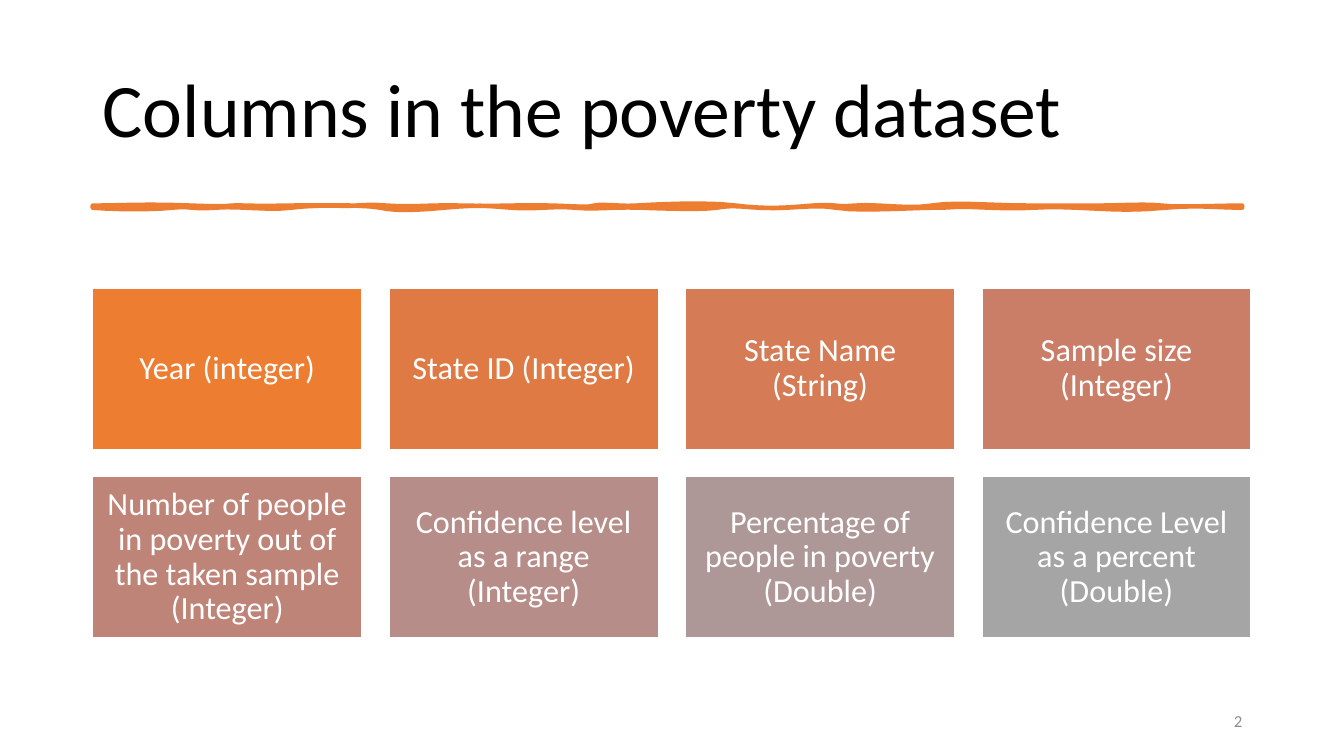
"""Build a slide that lists the columns of the poverty dataset."""
from lxml.etree import SubElement
from pptx import Presentation
from pptx.dml.color import RGBColor
from pptx.enum.shapes import MSO_SHAPE as SHAPE
from pptx.enum.text import MSO_ANCHOR as ANCHOR, PP_ALIGN as ALIGN
from pptx.oxml.ns import qn
from pptx.util import Inches, Pt

FONT = "Calibri"
ACCENT = "ED7D31"
WHITE = "FFFFFF"
LEFT, TOP = 0.92, 2.86
CARD_W, CARD_H, GAP = 2.67, 1.6, 0.27
COLUMNS = 4
STEPS = 6

CARDS = [
    ("Year (integer)", ACCENT),
    ("State ID (Integer)", "E07A44"),
    ("State Name (String)", "D57B56"),
    ("Sample size (Integer)", "CA7E67"),
    ("Number of people in poverty out of the taken sample (Integer)", "BF8478"),
    ("Confidence level as a range (Integer)", "B68D88"),
    ("Percentage of people in poverty (Double)", "AD9897"),
    ("Confidence Level as a percent (Double)", "A5A5A5"),
]

BRUSH_START = (0.92, 2.04)
BRUSH_CURVES = [
    (1.19, 2.04, 1.44, 2.02, 1.9, 2.04), (2.37, 2.06, 2.2, 2.03, 2.44, 2.04),
    (2.67, 2.05, 3.03, 2.03, 3.31, 2.04), (3.6, 2.05, 3.59, 2.02, 3.84, 2.04),
    (4.1, 2.06, 4.23, 2.03, 4.6, 2.04), (4.98, 2.05, 5.14, 2.03, 5.48, 2.04),
    (5.81, 2.05, 5.81, 2.06, 5.89, 2.04), (5.98, 2.02, 6.15, 2.05, 6.31, 2.04),
    (6.47, 2.03, 7.01, 2, 7.3, 2.04), (7.59, 2.08, 7.81, 2.06, 8.06, 2.04),
    (8.31, 2.02, 8.27, 2.06, 8.48, 2.04), (8.68, 2.02, 9.01, 2.08, 9.24, 2.04),
    (9.47, 2, 9.82, 2.04, 10.23, 2.04), (10.63, 2.04, 10.63, 2.04, 10.87, 2.04),
    (11.12, 2.04, 11.36, 2.02, 11.52, 2.04), (11.68, 2.06, 12.03, 2.04, 12.32, 2.04),
    (12.32, 2.05, 12.32, 2.05, 12.32, 2.06), (12.05, 2.06, 11.89, 2.03, 11.56, 2.06),
    (11.22, 2.09, 11.1, 2.08, 10.68, 2.06), (10.27, 2.04, 10.23, 2.08, 9.81, 2.06),
    (9.39, 2.04, 9.52, 2.06, 9.28, 2.06), (9.04, 2.06, 8.51, 2.1, 8.29, 2.06),
    (8.06, 2.02, 7.82, 2.08, 7.53, 2.06), (7.24, 2.04, 7.25, 2.04, 7.11, 2.06),
    (6.98, 2.08, 6.61, 2.07, 6.35, 2.06), (6.09, 2.05, 5.9, 2.08, 5.7, 2.06),
    (5.51, 2.04, 5.28, 2.08, 5.06, 2.06), (4.83, 2.04, 4.73, 2.03, 4.41, 2.06),
    (4.09, 2.09, 3.9, 2.09, 3.77, 2.06), (3.63, 2.03, 3.1, 2.03, 2.89, 2.06),
    (2.68, 2.09, 2.35, 2.04, 2.13, 2.06), (1.92, 2.08, 1.89, 2.04, 1.71, 2.06),
    (1.54, 2.08, 1.14, 2.08, 0.92, 2.06),
]


def rgb(value):
    return RGBColor.from_string(value)


def write(tf, text, size, color, align, spacing=0.9):
    tf.word_wrap = True
    tf.vertical_anchor = ANCHOR.MIDDLE
    tf.text = text
    p = tf.paragraphs[0]
    p.alignment = align
    p.line_spacing = spacing
    font = p.runs[0].font
    font.name, font.size = FONT, Pt(size)
    font.color.rgb = rgb(color)


def paint(sp, fill, line, width):
    sp.shadow.inherit = False
    sp.fill.solid()
    sp.fill.fore_color.rgb = rgb(fill)
    sp.line.color.rgb = rgb(line)
    sp.line.width = Pt(width)


def add_label(s, box, *style):
    sp = s.shapes.add_textbox(*map(Inches, box))
    write(sp.text_frame, *style)


def add_card(s, index, text, fill):
    row, col = divmod(index, COLUMNS)
    x = LEFT + col * (CARD_W + GAP)
    y = TOP + row * (CARD_H + GAP)
    sp = s.shapes.add_shape(SHAPE.RECTANGLE, *map(Inches, (x, y, CARD_W, CARD_H)))
    paint(sp, fill, WHITE, 1)
    tf = sp.text_frame
    tf.margin_left = tf.margin_right = Inches(0.1)
    tf.margin_top = tf.margin_bottom = Inches(0.1)
    write(tf, text, 23, WHITE, ALIGN.CENTER)


def bezier(a, b, c, d, t):
    u = 1 - t
    return u**3 * a + 3 * u * u * t * b + 3 * u * t * t * c + t**3 * d


def brush_points():
    x, y = BRUSH_START
    for x1, y1, x2, y2, x3, y3 in BRUSH_CURVES:
        for step in range(1, STEPS + 1):
            t = step / STEPS
            yield Inches(bezier(x, x1, x2, x3, t)), Inches(bezier(y, y1, y2, y3, t))
        x, y = x3, y3


def add_brush_line(s):
    builder = s.shapes.build_freeform(*map(Inches, BRUSH_START))
    builder.add_line_segments(list(brush_points()), close=True)
    sp = builder.convert_to_shape()
    paint(sp, ACCENT, ACCENT, 3.25)
    SubElement(sp.line._get_or_add_ln(), qn("a:round"))


def main():
    prs = Presentation()
    prs.slide_width, prs.slide_height = Inches(13.33), Inches(7.5)
    s = prs.slides.add_slide(prs.slide_layouts[6])
    add_label(s, (LEFT, 0.4, 11.5, 1.45), "Columns in the poverty dataset",
              54, "000000", ALIGN.LEFT)
    add_brush_line(s)
    for index, (text, fill) in enumerate(CARDS):
        add_card(s, index, text, fill)
    add_label(s, (9.42, 6.95, 3, 0.4), "2", 12, "8C8C8C", ALIGN.RIGHT, 1.0)
    prs.save("out.pptx")


if __name__ == "__main__":
    main()
